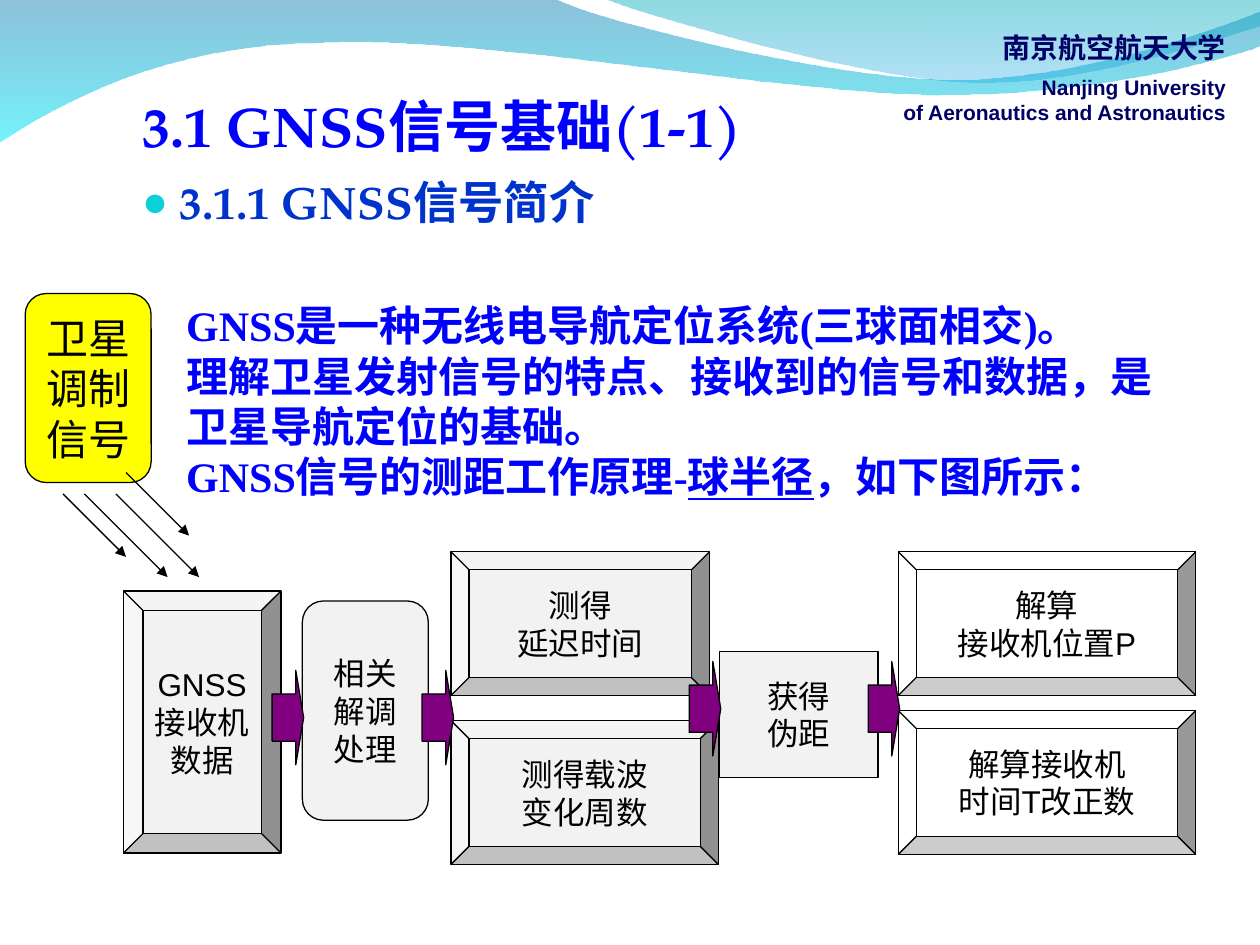
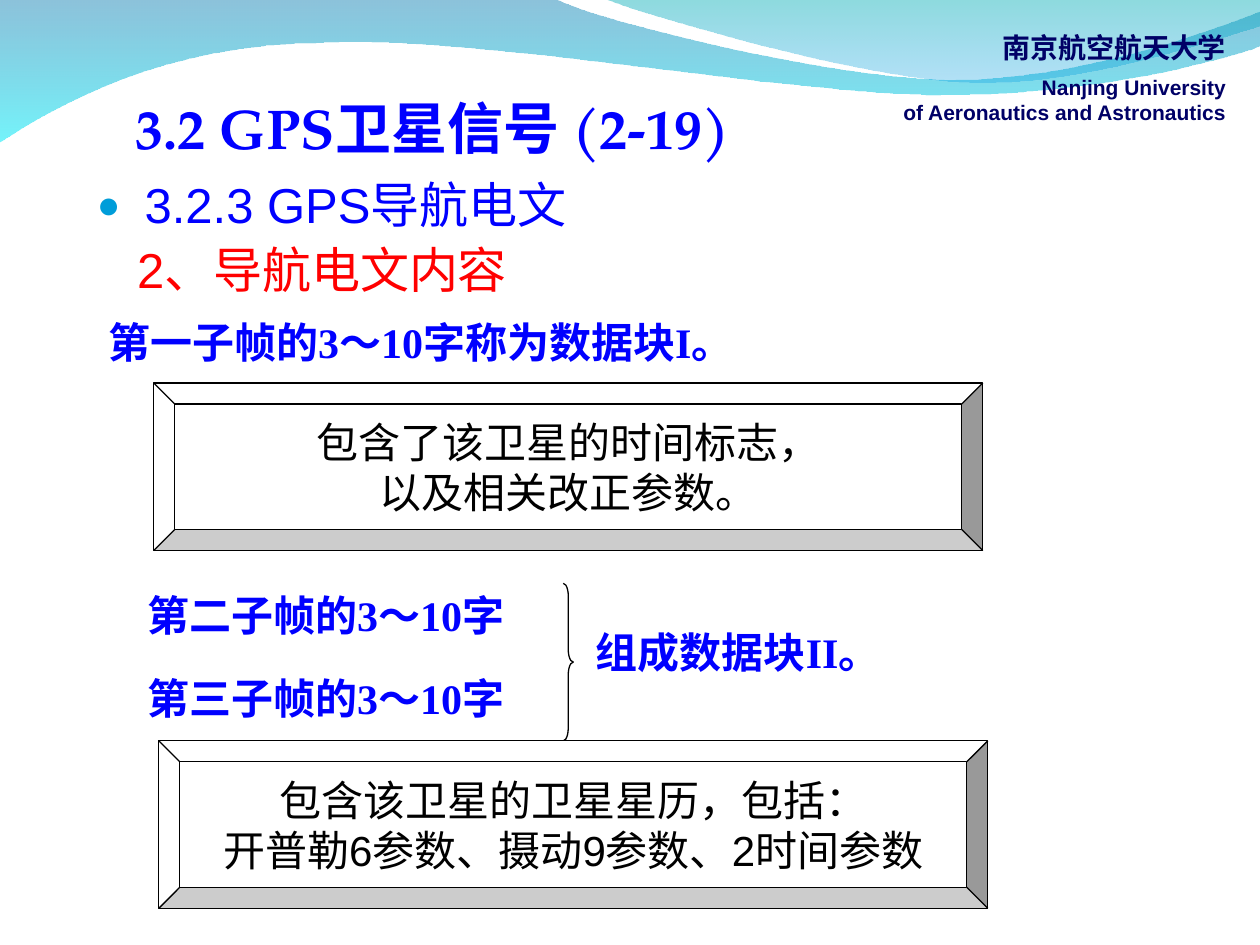
import pptx
import pptx.dml.color
import pptx.enum.dml
import pptx.enum.lang
import pptx.enum.shapes
import pptx.enum.text
import pptx.oxml
import pptx.oxml.ns
import pptx.util
from lxml import etree

EMU_PER_PX = 9144
SHAPE = pptx.enum.shapes.MSO_SHAPE
ALIGN = pptx.enum.text.PP_ALIGN
BLUE, BLACK, WHITE, GREY = "0000FF", "000000", "FFFFFF", "F2F2F2"
NAVY, HEADING_BLUE, RED, YELLOW, PURPLE = "000066", "0033CC", "FF0000", "FFFF00", "800080"
SANS, SERIF, TITLE_FONT = "Arial", "Times New Roman", "TeX Gyre Pagella"

BODY = dict(size=24, font=SERIF, color=BLUE, bold=True)

WAVES = [
    ((0, -1), [
        (440, -1), (476, 17, 664, 63, 758, 63), (853, 63, 958, 26, 1000, 9),
        (1001, 36), (983, 44, 870, 76, 746, 75), (622, 75, 382, 28, 257, 34),
        (129, 35, 46, 83, -1, 113), (0, -1)], [("0079AF", 45), ("00EBF8", 55)]),
    ((479, -1), [
        (509, 11, 682, 62, 769, 65), (856, 69, 961, 32, 1000, 21),
        (1000, 0), (479, -1)], [("00ADB6", 45), ("009BE5", 30)]),
]


def px(n):
    return pptx.util.Emu(round(n * EMU_PER_PX))


def rgb(color):
    return pptx.dml.color.RGBColor.from_string(color)


def sub(parent, tag, **attrs):
    el = etree.SubElement(parent, pptx.oxml.ns.qn(tag))
    for name, value in attrs.items():
        el.set(name, str(value))
    return el


def add_bullet(p, color, percent, indent):
    pPr = p._p.get_or_add_pPr()
    pPr.set("marL", str(px(indent)))
    pPr.set("indent", str(-px(indent)))
    sub(sub(pPr, "a:buClr"), "a:srgbClr", val=color)
    sub(pPr, "a:buSzPct", val=percent * 1000)
    sub(pPr, "a:buFont", typeface=SANS)
    sub(pPr, "a:buChar", char="●")


def add_text(tf, text, first=True, size=18, font=SANS, color=BLACK, bold=False,
             align=ALIGN.LEFT, spacing=None, before=None, after=None,
             bullet=None, left=None):
    for i, line in enumerate(text.split("\n")):
        p = tf.paragraphs[0] if first and i == 0 else tf.add_paragraph()
        if bullet:
            add_bullet(p, *bullet)
        if left:
            p._p.get_or_add_pPr().set("marL", str(px(left)))
        p.alignment = align
        if spacing:
            p.line_spacing = spacing
        if before:
            p.space_before = pptx.util.Pt(before)
        if after:
            p.space_after = pptx.util.Pt(after)
        for j, part in enumerate(line.split("_")):
            r = p.add_run()
            r.text = part
            f = r.font
            f.size, f.name, f.bold = pptx.util.Pt(size), font, bold
            f.color.rgb = rgb(color)
            f.language_id = pptx.enum.lang.MSO_LANGUAGE_ID.SIMPLIFIED_CHINESE
            if j % 2:
                f.underline = True


def text_box(s, x, y, w, h, text, wrap=False, **fmt):
    tf = s.shapes.add_textbox(px(x), px(y), px(w), px(h)).text_frame
    tf.word_wrap = wrap
    add_text(tf, text, **fmt)
    return tf


def add_shape(s, kind, x, y, w, h, fill=None, text=None, size=18, adjust=()):
    sp = s.shapes.add_shape(kind, px(x), px(y), px(w), px(h))
    sp.shadow.inherit = False
    for i, value in enumerate(adjust):
        sp.adjustments[i] = value
    if fill:
        sp.fill.solid()
        sp.fill.fore_color.rgb = rgb(fill)
    else:
        sp.fill.background()
    sp.line.color.rgb = rgb(BLACK)
    sp.line.width = pptx.util.Pt(0.75)
    if text:
        tf = sp.text_frame
        tf.word_wrap = False
        tf.vertical_anchor = pptx.enum.text.MSO_ANCHOR.MIDDLE
        add_text(tf, text, size=size, align=ALIGN.CENTER)
    return sp


def add_arrow_line(s, x1, y1, x2, y2):
    c = s.shapes.add_connector(pptx.enum.shapes.MSO_CONNECTOR.STRAIGHT,
                               px(x1), px(y1), px(x2), px(y2))
    c.line.color.rgb = rgb(BLACK)
    c.line.width = pptx.util.Pt(0.75)
    sub(c.line._get_or_add_ln(), "a:tailEnd", type="triangle")
    sub(c._element.spPr, "a:effectLst")


def bend(sp, segments):
    lines = iter(list(sp._element.iter(pptx.oxml.ns.qn("a:lnTo"))))
    for seg in segments:
        group = [next(lines) for _ in range(len(seg) // 2)]
        if len(group) == 3:
            curve = etree.Element(pptx.oxml.ns.qn("a:cubicBezTo"))
            group[0].addprevious(curve)
            for line in group:
                curve.append(line[0])
                line.getparent().remove(line)


def add_wave(s, x, y, start, segments, stops):
    fb = s.shapes.build_freeform(px(x + start[0]), px(y + start[1]))
    points = [seg[i:i + 2] for seg in segments for i in range(0, len(seg), 2)]
    fb.add_line_segments([(px(x + a), px(y + b)) for a, b in points])
    sp = fb.convert_to_shape()
    bend(sp, segments)
    sp.shadow.inherit = False
    sp.line.fill.background()
    sp.fill.gradient()
    sp.fill.gradient_angle = 270
    for i, (stop, (color, alpha)) in enumerate(zip(sp.fill.gradient_stops, stops)):
        stop.position = i
        stop.color.rgb = rgb(color)
        sub(stop._gs.find(pptx.oxml.ns.qn("a:srgbClr")), "a:alpha", val=alpha * 1000)


def banner(s, x, y):
    for wave in WAVES:
        add_wave(s, x, y, *wave)
    school = dict(font=SANS, color=NAVY, bold=True, align=ALIGN.RIGHT)
    tf = text_box(s, x + 706, y + 19, 277, 85, "南京航空航天大学", size=16, after=6, **school)
    add_text(tf, "Nanjing University\nof Aeronautics and Astronautics",
             first=False, size=12, **school)


def title(s, x, y, text):
    text_box(s, x, y, 803, 71, text, wrap=True, size=32, font=TITLE_FONT,
             color=BLUE, bold=True)


def satellite(s, x, y):
    add_shape(s, SHAPE.ROUNDED_RECTANGLE, x, y, 100, 150, YELLOW,
              "卫星\n调制\n信号", size=24)
    for dx, dy, run in [(80, 142, 50), (30, 159, 50), (72, 159, 66), (47, 159, 66)]:
        add_arrow_line(s, x + dx, y + dy, x + dx + run, y + dy + run)


def receiver_flow(s, x, y):
    stages = [
        (SHAPE.BEVEL, 0, 31, 125, 208, GREY, "GNSS\n接收机\n数据"),
        (SHAPE.ROUNDED_RECTANGLE, 142, 39, 100, 174, GREY, "相关\n解调\n处理"),
        (SHAPE.BEVEL, 260, 0, 205, 114, GREY, "测得\n延迟时间"),
        (SHAPE.BEVEL, 260, 134, 212, 114, GREY, "测得载波\n变化周数"),
        (SHAPE.RECTANGLE, 473, 79, 126, 100, GREY, "获得\n伪距"),
        (SHAPE.BEVEL, 615, 0, 236, 114, WHITE, "解算\n接收机位置P"),
        (SHAPE.BEVEL, 615, 126, 236, 114, WHITE, "解算接收机\n时间T改正数"),
    ]
    for kind, dx, dy, w, h, fill, text in stages:
        add_shape(s, kind, x + dx, y + dy, w, h, fill, text)
    for dx, dy in [(118, 94), (237, 94), (449, 87), (591, 87)]:
        add_shape(s, SHAPE.RIGHT_ARROW, x + dx, y + dy, 25, 75, PURPLE, adjust=(0.5, 0.25))


def data_block(s, x, y, text):
    add_shape(s, SHAPE.BEVEL, x, y, 658, 133, WHITE, text, size=24)


def subframe_group(s, x, y):
    for i, text in enumerate(["第二子帧的3～10字", "第三子帧的3～10字"]):
        text_box(s, x, y + 66 * i, 335, 50, text, **BODY)
    add_shape(s, SHAPE.RIGHT_BRACE, x + 340, y, 8, 125, adjust=(1.25, 0.5))
    text_box(s, x + 356, y + 29, 262, 50, "组成数据块II。", **BODY)


def signal_basics(s):
    banner(s, 0, 0)
    title(s, 103, 68, "3.1 GNSS信号基础(1-1)")
    text_box(s, 103, 138, 425, 67, "3.1.1 GNSS信号简介", wrap=True, size=25.9,
             font=TITLE_FONT, color=HEADING_BLUE, bold=True, spacing=0.9,
             bullet=("0BD0D9", 95, 30))
    text_box(s, 138, 233, 807, 170,
             "GNSS是一种无线电导航定位系统(三球面相交)。\n"
             "理解卫星发射信号的特点、接收到的信号和数据，是卫星导航定位的基础。\n"
             "GNSS信号的测距工作原理-_球半径_，如下图所示：", wrap=True, **BODY)
    receiver_flow(s, 98, 438)
    satellite(s, 20, 233)


def navigation_message(s):
    banner(s, 0, 0)
    title(s, 98, 69, "3.2 GPS卫星信号 (2-19)")
    tf = text_box(s, 67, 139, 701, 110, "3.2.3 GPS导航电文", wrap=True, size=28,
                  color=BLUE, spacing=0.9, bullet=("009DD9", 80, 38))
    add_text(tf, "2、导航电文内容", first=False, size=28, color=RED, spacing=0.9,
             before=7, left=32)
    text_box(s, 76, 246, 564, 50, "第一子帧的3～10字称为数据块I。", **BODY)
    data_block(s, 122, 304, "包含了该卫星的时间标志，\n以及相关改正参数。")
    subframe_group(s, 107, 463)
    data_block(s, 126, 588, "包含该卫星的卫星星历，包括：\n开普勒6参数、摄动9参数、2时间参数")


def main():
    prs = pptx.Presentation()
    prs.slide_width, prs.slide_height = px(1000), px(750)
    for build in (signal_basics, navigation_message):
        build(prs.slides.add_slide(prs.slide_layouts[6]))
    prs.save("out.pptx")


if __name__ == "__main__":
    main()
